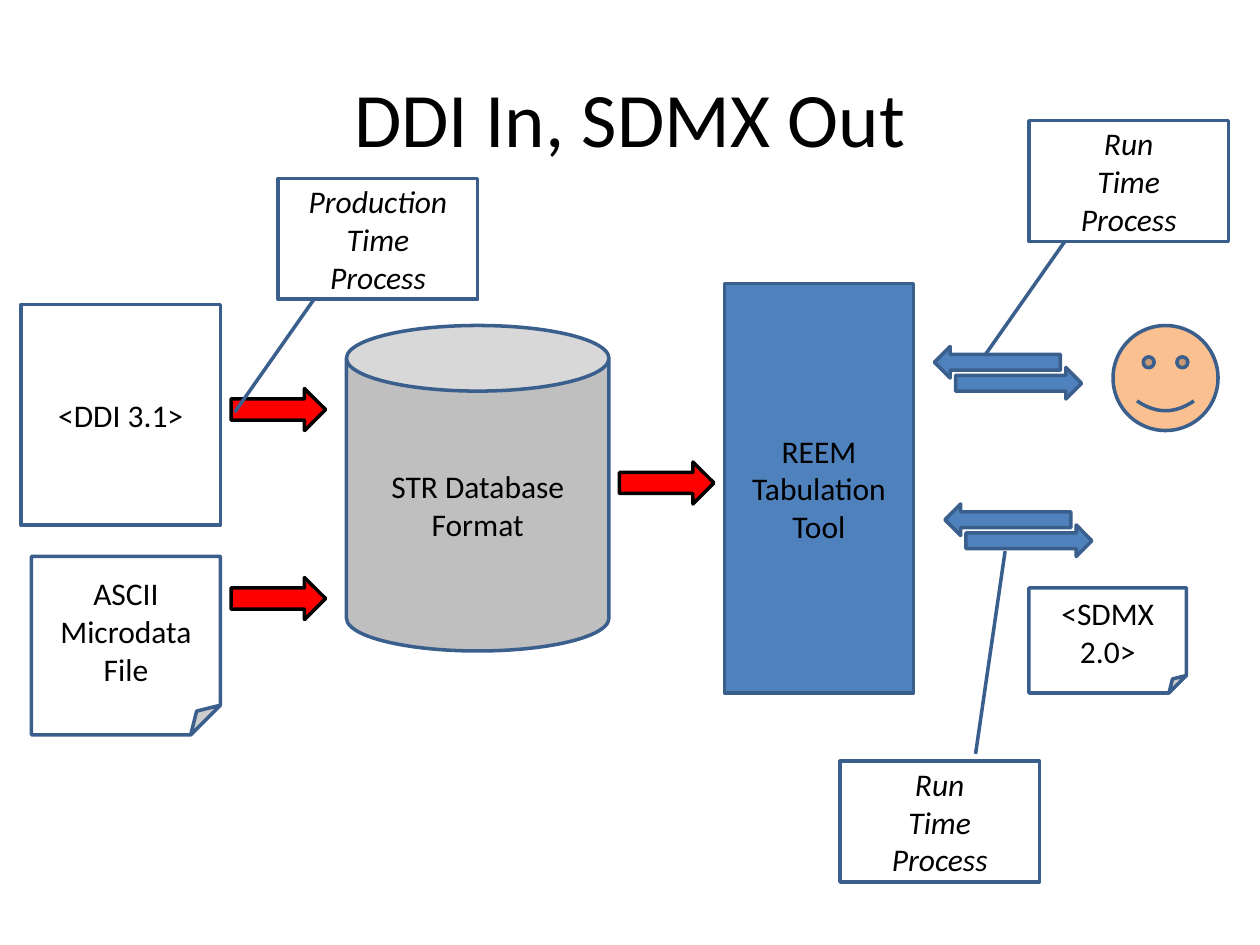
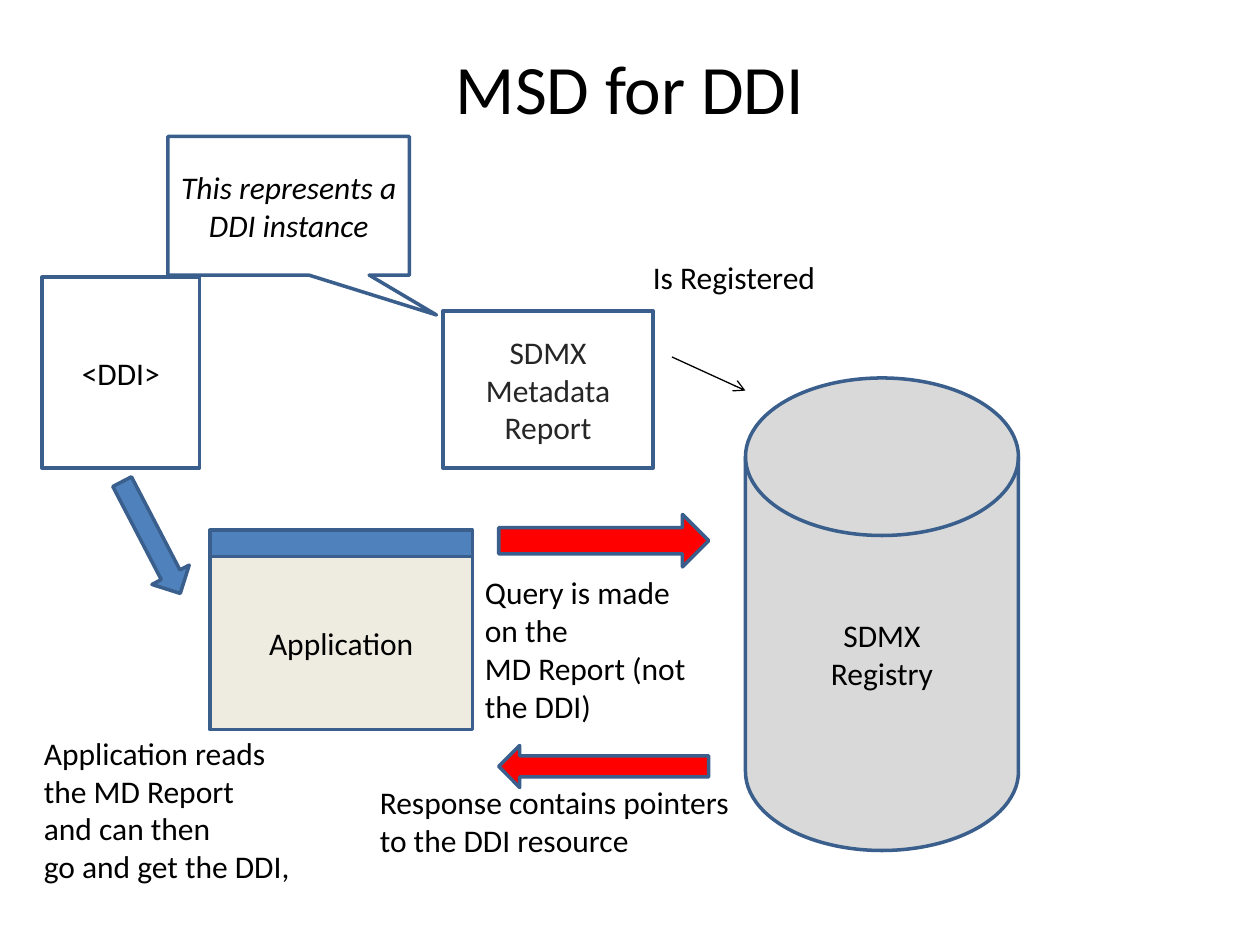
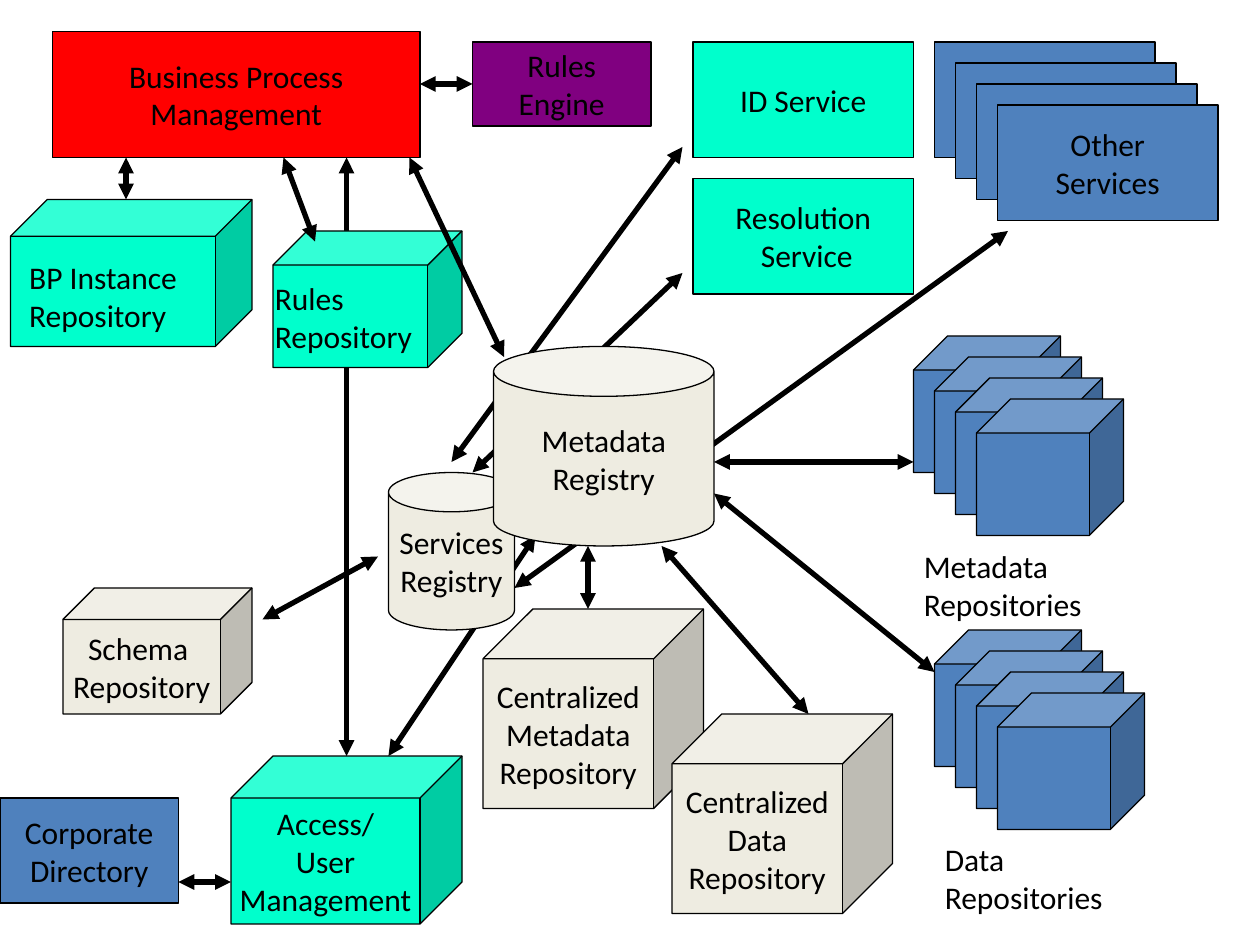
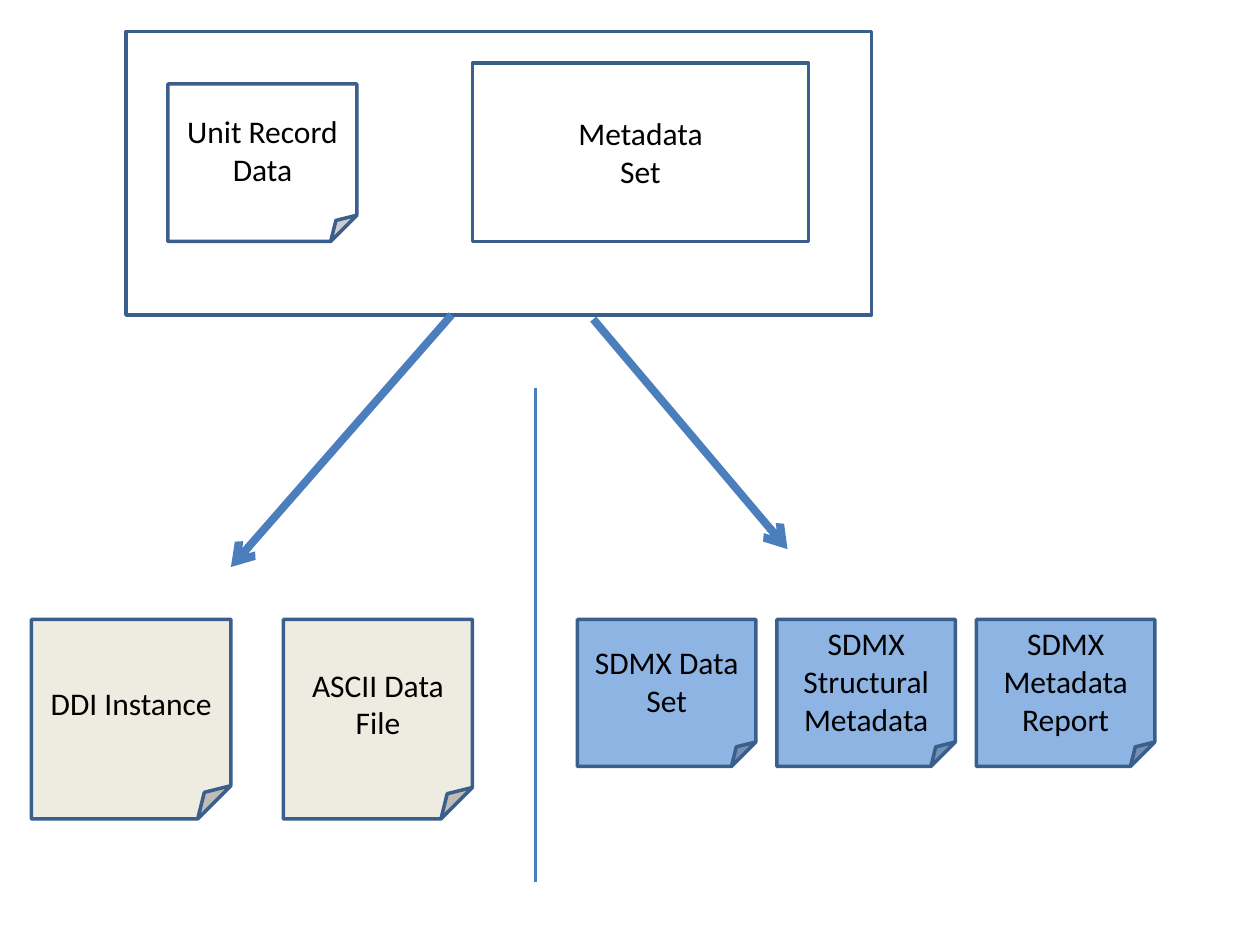
from dataclasses import dataclass
from functools import partial

from lxml.etree import SubElement
from pptx import Presentation
from pptx.dml.color import RGBColor
from pptx.enum.shapes import MSO_CONNECTOR as Connector, MSO_SHAPE as Kind
from pptx.enum.text import MSO_ANCHOR as Anchor, MSO_AUTO_SIZE as AutoSize, PP_ALIGN as Align
from pptx.oxml.ns import qn
from pptx.util import Inches, Pt


@dataclass(frozen=True)
class Theme:
    font: str = "Calibri"
    ink: str = "000000"
    soft_ink: str = "262626"
    paper: str = "FFFFFF"
    outline: str = "3A5F8C"
    blue: str = "4F81BD"
    light_blue: str = "8EB4E3"
    line_blue: str = "4B7EBC"
    red: str = "FF0000"
    purple: str = "800080"
    mint: str = "00FFCC"
    cream: str = "EEECE1"
    peach: str = "FAC090"
    gray: str = "BFBFBF"
    light_gray: str = "D9D9D9"
    title: float = 44
    small_title: float = 39.6
    body: float = 18
    hairline: float = 0.75
    border: float = 2
    divider: float = 2.25
    link: float = 3
    flow: float = 4.5


theme = Theme()
COLUMNS, ROWS = 120, 90
deck = Presentation()
deck.slide_width, deck.slide_height = Inches(10), Inches(7.5)
CELL_WIDTH = deck.slide_width / COLUMNS
CELL_HEIGHT = deck.slide_height / ROWS
blank = deck.slide_layouts[6]


def add_box(page, kind, column, row, columns, rows, fill=None, text="", edge=theme.outline,
            weight=theme.border, color=theme.ink, size=theme.body, italic=False, wrap=True,
            align=Align.CENTER, anchor=Anchor.MIDDLE, turn=0, adjust=()):
    place = (round(column * CELL_WIDTH), round(row * CELL_HEIGHT),
             round(columns * CELL_WIDTH), round(rows * CELL_HEIGHT))
    if kind is None:
        box = page.shapes.add_textbox(*place)
    else:
        box = page.shapes.add_shape(kind, *place)
        box.shadow.inherit = False
        box.line.color.rgb = RGBColor.from_string(edge)
        box.line.width = Pt(weight)
        box.rotation = turn
        for index, value in enumerate(adjust):
            box.adjustments[index] = value
        if fill:
            box.fill.solid()
            box.fill.fore_color.rgb = RGBColor.from_string(fill)
        else:
            box.fill.background()
    if text:
        frame = box.text_frame
        frame.text = text
        frame.word_wrap = wrap
        frame.vertical_anchor = anchor
        if anchor == Anchor.TOP:
            frame.auto_size = AutoSize.SHAPE_TO_FIT_TEXT
        for para in frame.paragraphs:
            para.alignment = align
            for span in para.runs:
                span.font.name = theme.font
                span.font.size = Pt(size)
                span.font.italic = italic
                span.font.color.rgb = RGBColor.from_string(color)
    return box


def add_link(page, start, end, color=theme.ink, weight=theme.link, head=None, tail=None):
    (left, top), (right, bottom) = start, end
    link = page.shapes.add_connector(
        Connector.STRAIGHT, round(left * CELL_WIDTH), round(top * CELL_HEIGHT),
        round(right * CELL_WIDTH), round(bottom * CELL_HEIGHT))
    link.line.color.rgb = RGBColor.from_string(color)
    link.line.width = Pt(weight)
    properties = link._element.spPr
    stroke = properties.find(qn("a:ln"))
    for tag, style in (("a:headEnd", head), ("a:tailEnd", tail)):
        if style:
            SubElement(stroke, qn(tag), type=style)
    SubElement(properties, qn("a:effectLst"))
    return link


add_label = partial(add_box, kind=None, align=Align.LEFT, anchor=Anchor.TOP)

page = deck.slides.add_slide(blank)
add_box(page, None, 6, 3.6, 108, 15, text="DDI In, SDMX Out", size=theme.title)
add_box(page, Kind.RECTANGLE, 2, 29, 19, 21, theme.paper, "<DDI 3.1>")
add_box(page, Kind.CAN, 33, 31, 25, 31, theme.gray, "STR Database Format")
add_box(page, Kind.RECTANGLE, 69, 27, 18, 39, theme.blue, "REEM Tabulation Tool")
add_box(page, Kind.SMILEY_FACE, 106, 31, 10, 10, theme.peach)
for column, row in ((22, 37), (59, 44), (22, 55)):
    add_box(page, Kind.RIGHT_ARROW, column, row, 9, 4, theme.red, edge=theme.ink)
for column, row in ((89, 33), (90, 48)):
    add_box(page, Kind.LEFT_ARROW, column, row, 12, 3, theme.blue)
    add_box(page, Kind.LEFT_ARROW, column + 2, row + 2, 12, 3, theme.blue, turn=180)
add_box(page, Kind.FOLDED_CORNER, 98, 56, 15, 10, theme.paper, "<SDMX\n2.0>")
add_box(page, Kind.FOLDED_CORNER, 3, 53, 18, 17, theme.paper, "ASCII\nMicrodata\nFile")
pointer_down = (0.998, 0.181, 1.936, -0.218)
pointer_up = (-0.061, 0.68, -1.74, 0.828)
for column, row, stage, pointer in (
    (26.5, 17, "Production", pointer_down),
    (98, 11.5, "Run", pointer_down),
    (80, 72.5, "Run", pointer_up),
):
    add_box(page, Kind.LINE_CALLOUT_1, column, row, 19, 11.5, theme.paper,
            f"{stage}\nTime\nProcess", italic=True, adjust=pointer)

page = deck.slides.add_slide(blank)
add_box(page, None, 6, 3.6, 108, 9.4, text="MSD for DDI", size=theme.small_title)
add_box(page, Kind.FLOWCHART_MAGNETIC_DISK, 71, 36, 26, 45, theme.light_gray, "SDMX\nRegistry")
add_box(page, Kind.RECTANGLE, 42.2, 29.6, 20, 15, theme.paper, "SDMX\nMetadata\nReport",
        color=theme.soft_ink)
add_link(page, (64, 34), (71, 37.2), weight=theme.hairline, tail="arrow")
add_box(page, Kind.RECTANGULAR_CALLOUT, 16, 13, 23, 13.2, theme.paper,
        "This represents a DDI instance", italic=True, adjust=(0.612, 0.788))
add_box(page, Kind.RECTANGLE, 4, 26.4, 15, 18.2, theme.paper, "<DDI>")
add_box(page, Kind.RIGHT_ARROW, 47.5, 49, 20, 5, theme.red)
add_box(page, Kind.LEFT_ARROW, 47.5, 71, 20, 4, theme.red)
add_box(page, Kind.RECTANGLE, 20, 50.5, 25, 2.5, theme.blue)
add_box(page, Kind.RECTANGLE, 20, 53, 25, 16.5, theme.cream, "Application")
add_box(page, Kind.RIGHT_ARROW, 8.4, 49.2, 12, 4, theme.blue, turn=62.5)
for column, row, columns, rows, wrap, text in (
    (61, 24, 18, 4.8, False, "Is Registered"),
    (45, 54, 22.5, 15.7, True, "Query is made\non the\nMD Report (not the DDI)"),
    (35, 74, 36, 8.5, False, "Response contains pointers\nto the DDI resource"),
    (3, 69.3, 26.9, 15.7, False,
     "Application reads\nthe MD Report\nand can then\ngo and get the DDI,"),
):
    add_label(page, column=column, row=row, columns=columns, rows=rows, text=text, wrap=wrap)

page = deck.slides.add_slide(blank)
add_part = partial(add_box, page, edge=theme.ink, weight=theme.hairline, wrap=False)
add_exchange = partial(add_link, page, head="triangle", tail="triangle")
for start, end in (
    ((37, 72), (51, 51)), ((33, 15), (33, 72)), ((45, 45), (65, 26)),
    ((43, 44), (65, 14)), ((49, 56), (96, 22)),
):
    add_exchange(start, end)
add_part(Kind.CAN, 37, 45, 12, 15, theme.cream, "Services\nRegistry", adjust=(0.312,))
add_part(Kind.CAN, 47, 33, 21, 19, theme.cream, "Metadata\nRegistry")
for column, row in ((87, 32), (89, 60)):
    for layer in range(4):
        add_part(Kind.CUBE, column + 2 * layer, row + 2 * layer, 14, 13, theme.blue)
for layer in range(4):
    add_part(Kind.RECTANGLE, 89 + 2 * layer, 4 + 2 * layer, 21, 11, theme.blue,
             "Other\nServices" if layer == 3 else "")
for kind, column, row, columns, rows, fill, text in (
    (Kind.RECTANGLE, 5, 3, 35, 12, theme.red, "Business Process\nManagement"),
    (Kind.RECTANGLE, 0, 76, 17, 10, theme.blue, "Corporate\nDirectory"),
    (Kind.RECTANGLE, 66, 4, 21, 11, theme.mint, "ID Service"),
    (Kind.RECTANGLE, 66, 17, 21, 11, theme.mint, "Resolution\n Service"),
    (Kind.CUBE, 1, 19, 23, 14, theme.mint, ""),
    (Kind.CUBE, 26, 22, 18, 13, theme.mint, ""),
    (Kind.CUBE, 22, 72, 22, 16, theme.mint, "Access/\nUser\nManagement"),
    (Kind.CUBE, 6, 56, 18, 12, theme.cream, "Schema \nRepository"),
    (Kind.CUBE, 46, 58, 21, 19, theme.cream, "Centralized\nMetadata\nRepository"),
    (Kind.CUBE, 64, 68, 21, 19, theme.cream, "Centralized\nData\nRepository"),
):
    add_part(kind, column, row, columns, rows, fill, text)
for column, row, columns, text in (
    (86.8, 51.5, 19, "Metadata\nRepositories"),
    (88.8, 79.4, 19, "Data\nRepositories"),
    (1.6, 24, 19.4, "BP Instance\nRepository"),
    (25, 26, 16.8, "Rules\nRepository"),
):
    add_label(page, column=column, row=row, columns=columns, rows=8.4, text=text, wrap=False)
rules_engine = add_part(Kind.RECTANGLE, 45, 4, 17, 8, theme.purple, "Rules\nEngine")
add_exchange((40, 8), (45, 8)).end_connect(rules_engine, 1)
for start, end in (
    ((12, 15), (12, 19)), ((30, 23), (27, 15)), ((25, 59), (36, 53)),
    ((56, 58), (56, 52)), ((68, 44), (87, 44)), ((68, 47), (89, 64)),
    ((39, 15), (48, 34)), ((17, 84), (22, 84)), ((77, 68), (63, 52)),
):
    add_exchange(start, end)

page = deck.slides.add_slide(blank)
add_box(page, Kind.RECTANGLE, 45, 6, 32, 17, theme.paper, "Metadata\nSet")
add_box(page, Kind.FOLDED_CORNER, 16, 8, 18, 15, theme.paper, "Unit Record Data")
add_box(page, Kind.RECTANGLE, 12, 3, 71, 27)
for start, end in (((43, 30), (22, 54)), ((56.5, 30.4), (75, 52.3))):
    add_link(page, start, end, theme.line_blue, theme.flow, tail="arrow")
add_link(page, (51, 37), (51, 84), theme.line_blue, theme.divider)
add_box(page, Kind.FOLDED_CORNER, 3, 59, 19, 19, theme.cream, "DDI Instance")
add_box(page, Kind.FOLDED_CORNER, 27, 59, 18, 19, theme.cream, "ASCII Data File")
for index, text in enumerate(("SDMX Data\nSet", "SDMX Structural\nMetadata",
                              "SDMX Metadata\nReport")):
    add_box(page, Kind.FOLDED_CORNER, 55 + 19 * index, 59, 17, 14, theme.light_blue, text)

deck.save("out.pptx")
